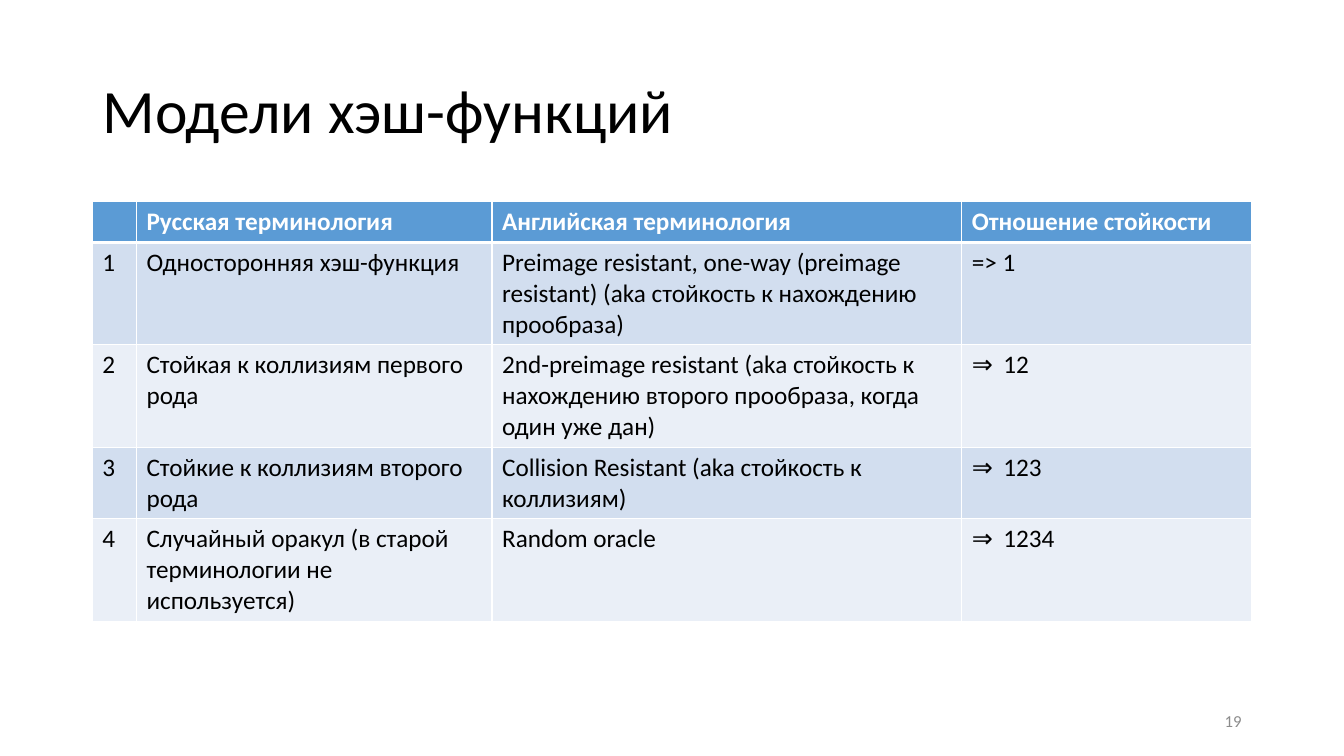
from lxml import etree
from pptx import Presentation
from pptx.dml.color import RGBColor
from pptx.enum import text
from pptx.oxml import ns
from pptx.util import Pt

FONT = "Calibri"
COLORS = {
    "black": "000000",
    "white": "FFFFFF",
    "header": "5B9BD5",
    "odd": "D2DEEF",
    "even": "EAEFF7",
    "number": "8C8C8C",
}
COL_WIDTHS = [31.5, 254, 335.5, 207]
ROW_HEIGHTS = [29.2, 73, 73, 51, 73]
ARROW = "⇒"
ROWS = [
    ["", "Русская терминология", "Английская терминология", "Отношение стойкости"],
    ["1", "Односторонняя хэш-функция",
     "Preimage resistant, one-way (preimage resistant) "
     "(aka стойкость к нахождению прообраза)", "=> 1"],
    ["2", "Стойкая к коллизиям первого рода",
     "2nd-preimage resistant (aka стойкость к нахождению второго прообраза, "
     "когда один уже дан)", ARROW + "12"],
    ["3", "Стойкие к коллизиям второго рода",
     "Collision Resistant (aka стойкость к коллизиям)", ARROW + "123"],
    ["4", "Случайный оракул (в старой терминологии не используется)",
     "Random oracle", ARROW + "1234"],
]


def rgb(name):
    """Return the named colour."""
    return RGBColor.from_string(COLORS[name])


def write(tf, content, size, color, bold=False):
    """Set the text of a frame, format its runs and return its paragraph."""
    tf.text = content
    p = tf.paragraphs[0]
    for r in p.runs:
        r.font.name = FONT
        r.font.size = Pt(size)
        r.font.bold = bold
        r.font.color.rgb = rgb(color)
    return p


def add_bullet(p, char):
    """Give a paragraph a hanging bullet."""
    pPr = p._p.get_or_add_pPr()
    pPr.set("marL", str(Pt(22.5)))
    pPr.set("indent", str(-Pt(22.5)))
    etree.SubElement(pPr, ns.qn("a:buFont")).set("typeface", FONT)
    etree.SubElement(pPr, ns.qn("a:buChar")).set("char", char)


def add_borders(cell, top, bottom):
    """Draw white borders around a cell."""
    tcPr = cell._tc.get_or_add_tcPr()
    for side, width in (("L", 1), ("R", 1), ("T", top), ("B", bottom)):
        ln = etree.SubElement(tcPr, ns.qn(f"a:ln{side}"), w=str(Pt(width)))
        fill = etree.SubElement(ln, ns.qn("a:solidFill"))
        etree.SubElement(fill, ns.qn("a:srgbClr")).set("val", COLORS["white"])


def fill_cell(cell, content, row):
    """Write and style one table cell according to its row."""
    header = row == 0
    p = write(cell.text_frame, content.removeprefix(ARROW), 18,
              "white" if header else "black", header)
    if content.startswith(ARROW):
        add_bullet(p, ARROW)
    add_borders(cell, 3 if row == 1 else 1, 3 if header else 1)
    cell.fill.solid()
    cell.fill.fore_color.rgb = rgb("header" if header else "odd" if row % 2 else "even")


def add_title(s, content):
    """Place the title placeholder and write the title."""
    sp = s.shapes.title
    sp.left, sp.top, sp.width, sp.height = Pt(66), Pt(28.8), Pt(828), Pt(104.4)
    tf = sp.text_frame
    tf.vertical_anchor = text.MSO_ANCHOR.MIDDLE
    p = write(tf, content, 44, "black")
    p.alignment = text.PP_ALIGN.LEFT
    p.line_spacing = 0.9


def add_models_table(s):
    """Add the table of hash function models."""
    table = s.shapes.add_table(len(ROWS), len(COL_WIDTHS), Pt(66), Pt(144),
                               Pt(sum(COL_WIDTHS)), Pt(sum(ROW_HEIGHTS))).table
    for column, width in zip(table.columns, COL_WIDTHS):
        column.width = Pt(width)
    for i, (height, contents) in enumerate(zip(ROW_HEIGHTS, ROWS)):
        table.rows[i].height = Pt(height)
        for j, content in enumerate(contents):
            fill_cell(table.cell(i, j), content, i)


def add_slide_number(s, number):
    """Add the slide number at the bottom right."""
    tf = s.shapes.add_textbox(Pt(678), Pt(500.4), Pt(216), Pt(28.8)).text_frame
    tf.word_wrap = True
    tf.vertical_anchor = text.MSO_ANCHOR.MIDDLE
    write(tf, number, 12, "number").alignment = text.PP_ALIGN.RIGHT


def main():
    """Build the slide and save it."""
    prs = Presentation()
    prs.slide_width, prs.slide_height = Pt(960), Pt(540)
    s = prs.slides.add_slide(prs.slide_layouts[5])
    add_title(s, "Модели хэш-функций")
    add_models_table(s)
    add_slide_number(s, "19")
    prs.save("out.pptx")


if __name__ == "__main__":
    main()
